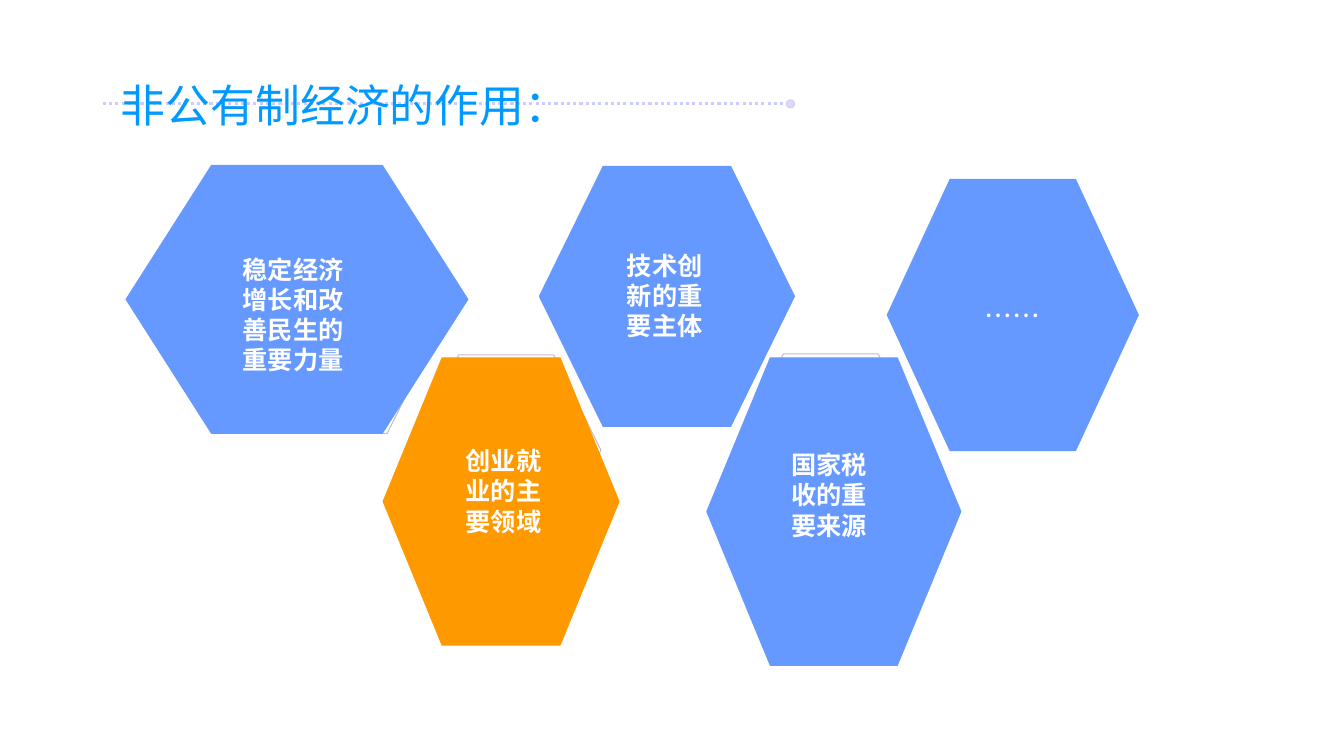
from lxml import etree
from pptx import Presentation
from pptx.dml.color import RGBColor
from pptx.enum.dml import MSO_LINE
from pptx.enum.shapes import MSO_CONNECTOR, MSO_SHAPE
from pptx.enum.text import MSO_ANCHOR, MSO_AUTO_SIZE, PP_ALIGN
from pptx.oxml.ns import qn
from pptx.util import Inches, Pt

HEXAGON, OVAL = MSO_SHAPE.HEXAGON, MSO_SHAPE.OVAL
STRAIGHT, DOTTED = MSO_CONNECTOR.STRAIGHT, MSO_LINE.ROUND_DOT
TOP, MIDDLE = MSO_ANCHOR.TOP, MSO_ANCHOR.MIDDLE
LEFT, CENTER = PP_ALIGN.LEFT, PP_ALIGN.CENTER
NO_AUTOFIT = MSO_AUTO_SIZE.NONE
CJK_FONT = "Noto Sans CJK SC"
BLUE, ORANGE, GREY, LILAC, WHITE = "6699FF", "FF9900", "C0C0C0", "CCCCFF", "FFFFFF"
OUTLINE_SIZE = (1.88, 1.89)

HEXAGONS = [
    ((2.43, 2.41), (1.25, 1.64, 3.39, 2.66), 0.319, BLUE),
    ((7.3, 3.51), (7.01, 3.55, 2.52, 3.05), 0.25, BLUE),
    ((4.08, 3.52), (3.8, 3.55, 2.34, 2.85), 0.25, ORANGE),
    ((5.73, 2.33), (5.35, 1.65, 2.53, 2.58), 0.25, BLUE),
    ((8.94, 2.33), (8.8, 1.78, 2.49, 2.69), 0.25, BLUE),
]
LABELS = [
    ("技术创新的重要主体", (6.12, 2.43, 1.02, 1)),
    ("稳定经济增长和改善民生的重要力量", (2.31, 2.47, 1.36, 1.3)),
    ("创业就业的主要领域", (4.52, 4.37, 1.02, 1)),
    ("国家税收的重要来源", (7.75, 4.41, 1.02, 1)),
]


def color(value):
    """Turn a hex string into a colour."""
    return RGBColor.from_string(value)


def inches(box):
    """Turn numbers into lengths."""
    return [Inches(n) for n in box]


def write_text(sp, text, size=18, fill=WHITE, font="Arial", bold=False,
               align=LEFT, anchor=TOP, wrap=True):
    """Write one formatted paragraph into a shape."""
    tf = sp.text_frame
    tf.auto_size = NO_AUTOFIT
    tf.word_wrap = wrap
    tf.vertical_anchor = anchor
    p = tf.paragraphs[0]
    p.alignment = align
    r = p.add_run()
    r.text = text
    r.font.size = Pt(size)
    r.font.bold = bold
    r.font.color.rgb = color(fill)
    r.font.name = font
    etree.SubElement(r.font._element, qn("a:ea"), typeface=CJK_FONT)


def add_shape(s, kind, box, line, fill=None):
    """Add a flat preset shape with a thin line."""
    sp = s.shapes.add_shape(kind, *inches(box))
    sp.shadow.inherit = False
    if fill:
        sp.fill.solid()
        sp.fill.fore_color.rgb = color(fill)
    else:
        sp.fill.background()
    sp.line.color.rgb = color(line)
    sp.line.width = Pt(0.75)
    return sp


def add_hexagon(s, box, line, fill=None, adjust=0.25):
    """Add a hexagon with the given corner inset."""
    sp = add_shape(s, HEXAGON, box, line, fill)
    sp.adjustments[0] = adjust
    sp.adjustments[1] = 1.155
    return sp


def add_title_rule(s):
    """Add the dotted rule that ends in a dot."""
    rule = s.shapes.add_connector(STRAIGHT, *inches((1.02, 1.03, 7.77, 1.03)))
    rule.line.color.rgb = color(LILAC)
    rule.line.width = Pt(2.25)
    rule.line.dash_style = DOTTED
    etree.SubElement(rule._element.spPr, qn("a:effectLst"))
    add_shape(s, OVAL, (7.8, 0.99, 0.08, 0.08), LILAC, "E2D7F5")


def add_title(s, text):
    """Place the title in front of its rule."""
    title = s.shapes.title
    title.left, title.top, title.width, title.height = inches((1.1, 0.72, 7.84, 0.63))
    write_text(title, text, size=32, fill="0099FF")
    s.shapes.element.append(title.element)


def add_label(s, text, box):
    """Add a bold white label."""
    sp = s.shapes.add_textbox(*inches(box))
    write_text(sp, text, bold=True)


def main():
    """Build and save the slide."""
    prs = Presentation()
    prs.slide_width, prs.slide_height = inches((13.33, 7.5))
    s = prs.slides.add_slide(prs.slide_layouts[5])
    add_title_rule(s)
    add_title(s, "非公有制经济的作用：")
    for corner, box, adjust, fill in HEXAGONS:
        add_hexagon(s, corner + OUTLINE_SIZE, GREY)
        sp = add_hexagon(s, box, fill, fill, adjust)
    write_text(sp, "……", size=20, font=CJK_FONT, align=CENTER,
               anchor=MIDDLE, wrap=False)
    for text, box in LABELS:
        add_label(s, text, box)
    prs.save("out.pptx")


if __name__ == "__main__":
    main()
